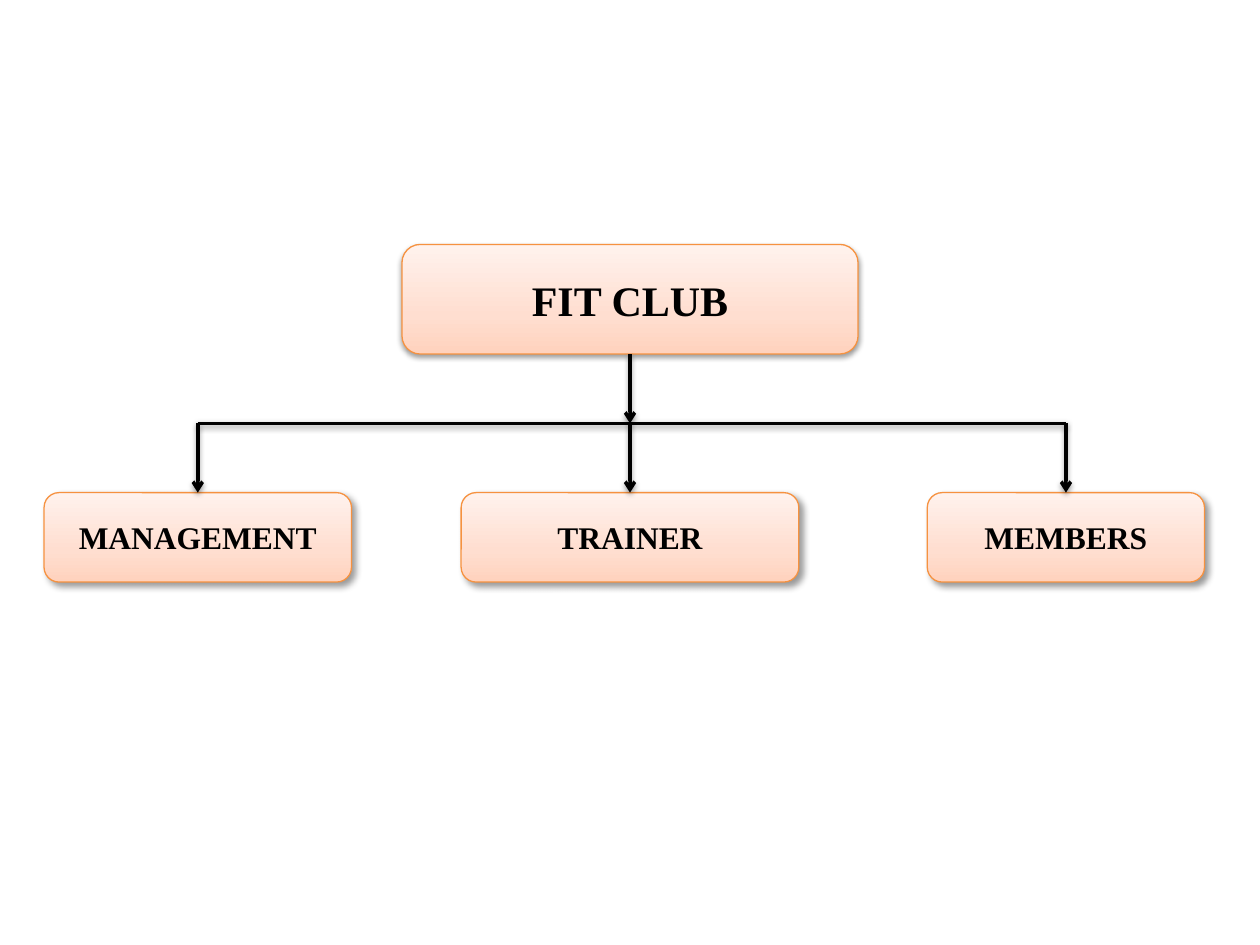
from pptx import Presentation
from pptx.dml.color import RGBColor
from pptx.enum import shapes, text
from pptx.oxml.ns import qn
from pptx.util import Inches, Pt
from lxml import etree

COLORS = {"ink": "000000", "border": "F69240"}
GRADIENT = [(0, "FFD2BD"), (35, "FFDED0"), (100, "FFF2ED")]
FONT = "Times New Roman"

# Shadows: opacity %, blur pt, distance pt, angle in degrees
SOFT = (38, 3.1, 1.6, 90)
DEEP = (40, 4, 3, 45)

# Label, left, width (inches)
ROOT = ("FIT CLUB", 3.19, 3.62)
ROLES = [
    ("MANAGEMENT", 0.35, 2.44),
    ("TRAINER", 3.66, 2.68),
    ("MEMBERS", 7.36, 2.2),
]
ROOT_TOP, ROOT_H = 1.94, 0.87
ROLE_TOP, ROLE_H = 3.91, 0.71


def rgb(name):
    return RGBColor.from_string(COLORS[name])


def add(parent, tag, **attrs):
    """Append a DrawingML child element."""
    return etree.SubElement(parent, qn(tag), {k: str(v) for k, v in attrs.items()})


def add_color(parent, value):
    return add(parent, "a:srgbClr", val=value)


def set_shadow(shape, opacity, blur, dist, angle):
    props = shape._element.spPr
    effects = props.find(qn("a:effectLst"))
    if effects is None:
        effects = add(props, "a:effectLst")
    outer = add(effects, "a:outerShdw", blurRad=Pt(blur), dist=Pt(dist),
                dir=angle * 60000, rotWithShape=0)
    add(add_color(outer, COLORS["ink"]), "a:alpha", val=opacity * 1000)


def set_gradient(fill, stops):
    """Fill from bottom to top with any number of (percent, colour) stops."""
    fill.gradient()
    fill.gradient_angle = 90
    stop_list = fill._xPr.find(".//" + qn("a:gsLst"))
    for old in list(stop_list):
        stop_list.remove(old)
    for pos, value in stops:
        add_color(add(stop_list, "a:gs", pos=pos * 1000), value)


def write(tf, label, size, bold=True, align=text.PP_ALIGN.CENTER):
    tf.word_wrap = True
    tf.vertical_anchor = text.MSO_ANCHOR.MIDDLE
    p = tf.paragraphs[0]
    p.alignment = align
    r = p.add_run()
    r.text = label
    r.font.name, r.font.size, r.font.bold = FONT, Pt(size), bold
    r.font.color.rgb = rgb("ink")


def add_box(s, box, top, height, size, shadow):
    label, left, width = box
    sp = s.shapes.add_shape(shapes.MSO_SHAPE.ROUNDED_RECTANGLE, Inches(left),
                            Inches(top), Inches(width), Inches(height))
    set_gradient(sp.fill, GRADIENT)
    sp.line.color.rgb = rgb("border")
    sp.line.width = Pt(0.75)
    sp.shadow.inherit = False
    set_shadow(sp, *shadow)
    write(sp.text_frame, label, size)


def add_line(s, x1, y1, x2, y2, arrow=True):
    line = s.shapes.add_connector(shapes.MSO_CONNECTOR.STRAIGHT, Inches(x1),
                                  Inches(y1), Inches(x2), Inches(y2))
    line.line.color.rgb = rgb("ink")
    line.line.width = Pt(2)
    if arrow:
        add(line.line._get_or_add_ln(), "a:tailEnd", type="arrow")
    set_shadow(line, *SOFT)


def center(box):
    return box[1] + box[2] / 2


def main():
    prs = Presentation()
    prs.slide_width, prs.slide_height = Inches(10), Inches(7.5)
    s = prs.slides.add_slide(prs.slide_layouts[6])

    add_box(s, ROOT, ROOT_TOP, ROOT_H, 24, SOFT)
    for role in ROLES:
        add_box(s, role, ROLE_TOP, ROLE_H, 18, DEEP)

    root_bottom = ROOT_TOP + ROOT_H
    bus = (root_bottom + ROLE_TOP) / 2
    add_line(s, center(ROOT), root_bottom, center(ROOT), bus)
    for role in ROLES:
        add_line(s, center(role), bus, center(role), ROLE_TOP)
    add_line(s, center(ROLES[0]), bus, center(ROLES[-1]), bus, arrow=False)

    prs.save("out.pptx")


if __name__ == "__main__":
    main()
